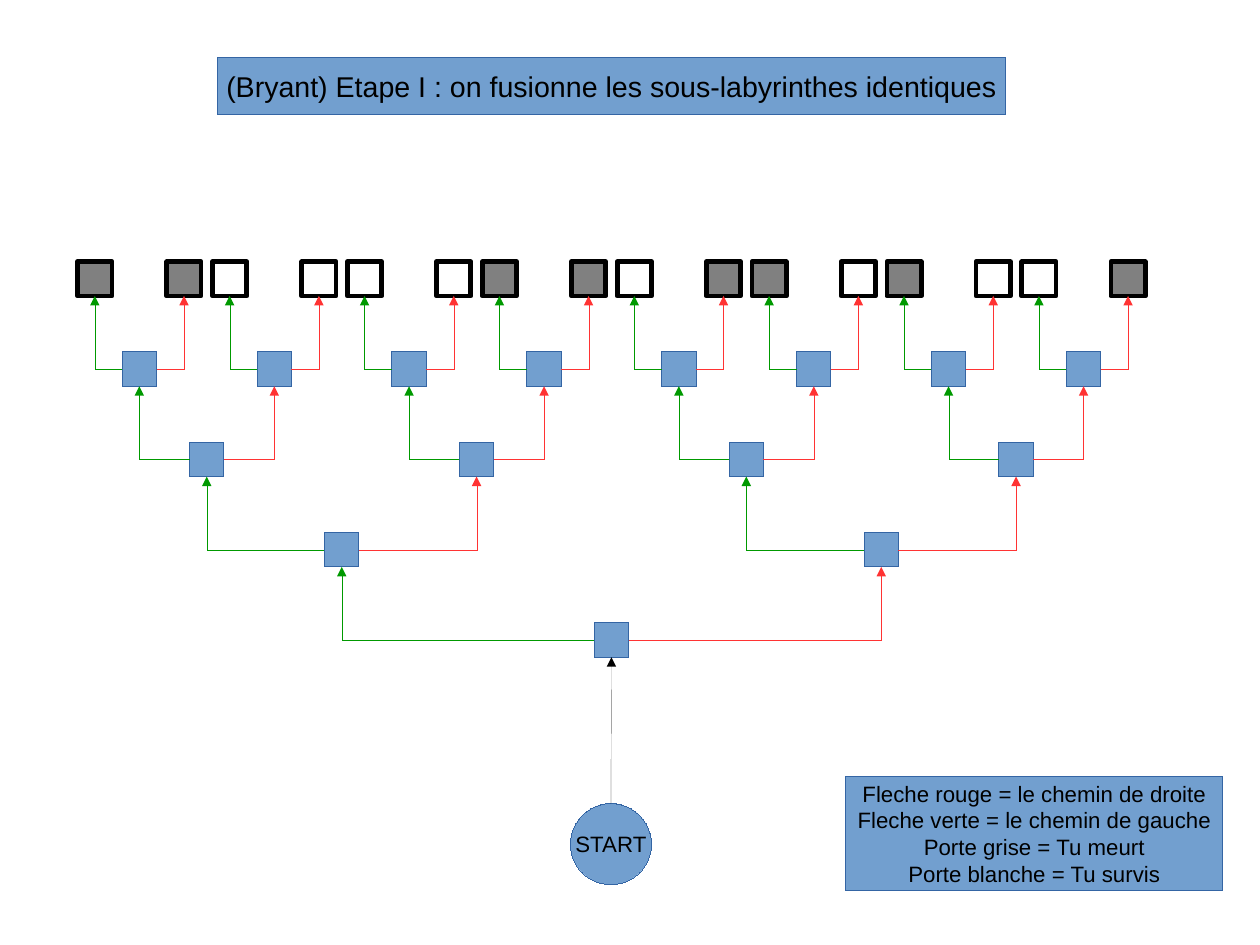
from pptx import Presentation
from pptx.dml.color import RGBColor
from pptx.enum.shapes import MSO_CONNECTOR as CONN, MSO_SHAPE as SHAPE
from pptx.enum.text import MSO_ANCHOR, PP_ALIGN
from pptx.oxml.ns import qn
from pptx.util import Inches, Pt
from lxml import etree

COLORS = {"blue": "729FCF", "border": "3465A4", "black": "000000",
          "gray": "808080", "white": "FFFFFF", "left": "009900", "right": "FF3333"}

# Slide of 28 by 21 cm
prs = Presentation()
prs.slide_width, prs.slide_height = Inches(28 / 2.54), Inches(21 / 2.54)
s = prs.slides.add_slide(prs.slide_layouts[6])


def add_box(kind, x, y, w, h, fill="blue", border="border", width=0, lines=(), size=14):
    sp = s.shapes.add_shape(kind, Inches(x), Inches(y), Inches(w), Inches(h))
    sp.shadow.inherit = False
    sp.fill.solid()
    sp.fill.fore_color.rgb = RGBColor.from_string(COLORS[fill])
    sp.line.color.rgb = RGBColor.from_string(COLORS[border])
    # A hairline needs its zero width written out
    sp._element.spPr.find(qn("a:ln")).set("w", str(Pt(width)))
    tf = sp.text_frame
    tf.word_wrap = False
    tf.vertical_anchor = MSO_ANCHOR.MIDDLE
    for i, line in enumerate(lines):
        p = tf.paragraphs[0] if i == 0 else tf.add_paragraph()
        p.alignment = PP_ALIGN.CENTER
        r = p.add_run()
        r.text = line
        r.font.name, r.font.size = "Arial", Pt(size)
        r.font.color.rgb = RGBColor.from_string(COLORS["black"])
    return sp


def add_arrow(kind, x1, y1, x2, y2, color):
    c = s.shapes.add_connector(kind, Inches(x1), Inches(y1), Inches(x2), Inches(y2))
    c.line.color.rgb = RGBColor.from_string(COLORS[color])
    ln = c._element.spPr.find(qn("a:ln"))
    ln.set("w", "0")
    etree.SubElement(ln, qn("a:tailEnd"), type="triangle")
    etree.SubElement(c._element.spPr, qn("a:effectLst"))
    return c


# Legend and title
add_box(SHAPE.RECTANGLE, 7.4, 6.79, 3.3, 1, lines=[
    "Fleche rouge = le chemin de droite", "Fleche verte = le chemin de gauche",
    "Porte grise = Tu meurt", "Porte blanche = Tu survis"])
add_box(SHAPE.RECTANGLE, 1.9, 0.5, 6.9, 0.5, size=18,
        lines=["(Bryant) Etape I : on fusionne les sous-labyrinthes identiques"])

# Maze tree, from the root up to the doors
DOORS = "GGWWWWGGWGGWGWWG"
OFFSETS = [2.36, 1.18, 0.59, 0.39]
HALF, ROW, ROOT_X, ROOT_Y = 0.15, 0.79, 5.35, 5.6
SIDE = 2 * HALF

root = add_box(SHAPE.RECTANGLE, ROOT_X - HALF, ROOT_Y - HALF, SIDE, SIDE)
parents, y, paths = [ROOT_X], ROOT_Y, []
for offset in OFFSETS:
    children = []
    for x in parents:
        for sign, color in ((-1, "left"), (1, "right")):
            child = x + sign * offset
            children.append(child)
            paths.append((x + sign * HALF, y, child, y - ROW + HALF, color))
    y -= ROW
    for i, x in enumerate(children):
        style = {}
        if len(children) == len(DOORS):
            style = {"fill": "gray" if DOORS[i] == "G" else "white",
                     "border": "black", "width": 3}
        add_box(SHAPE.RECTANGLE, x - HALF, y - HALF, SIDE, SIDE, **style)
    parents = children

# Paths: sideways out of a parent, then up into its child
for path_ends in paths:
    c = add_arrow(CONN.ELBOW, *path_ends)
    c._element.spPr.find(qn("a:prstGeom")).set("prst", "bentConnector2")

# Start
start = add_box(SHAPE.OVAL, 4.99, 7.03, 0.71, 0.71, lines=["START"])
entry = add_arrow(CONN.STRAIGHT, 5.34, 7.03, ROOT_X, ROOT_Y + HALF, "black")
entry.begin_connect(start, 0)
entry.end_connect(root, 2)

prs.save("out.pptx")
